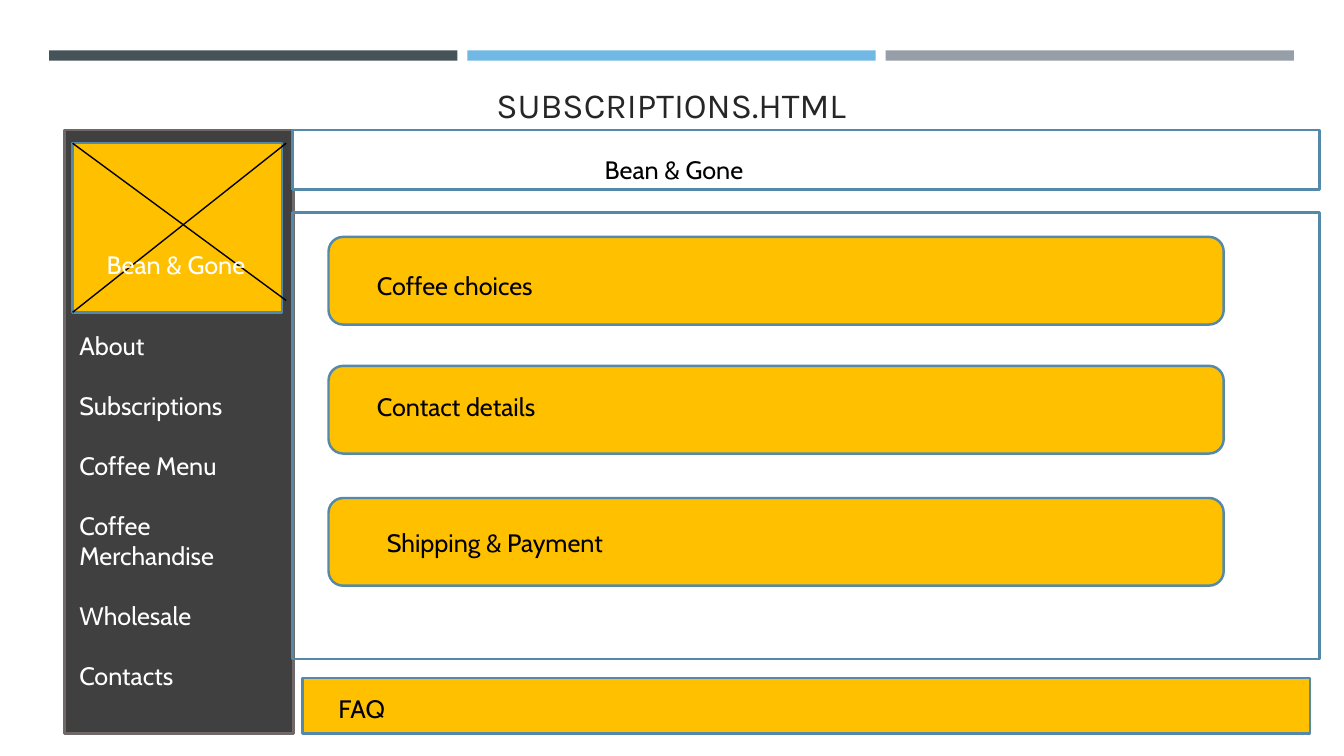
from lxml.etree import SubElement
from pptx import Presentation
from pptx.dml.color import RGBColor
from pptx.enum.shapes import MSO_CONNECTOR as Connector, MSO_SHAPE as Shape
from pptx.enum.text import MSO_ANCHOR as Anchor, MSO_AUTO_SIZE as AutoSize, PP_ALIGN as Align
from pptx.oxml.ns import qn
from pptx.util import Cm, Pt

AMBER, STEEL, CHARCOAL = "FFC000", "5489A9", "404040"
WHITE, BLACK, INK = "FFFFFF", "000000", "262626"
BAR_COLOURS = ["465359", "71B9E4", "969FA7"]
MENU = ["About", "Subscriptions", "Coffee Menu", "Coffee Merchandise", "Wholesale", "Contacts"]
# name, card top, label left, label top
SECTIONS = [
    ("Coffee choices", 5.97, 9.25, 6.68),
    ("Contact details", 9.22, 9.25, 9.73),
    ("Shipping & Payment", 12.55, 9.5, 13.16),
]


def colour(hex_string):
    return RGBColor.from_string(hex_string)


class Wireframe:
    """Draws on one slide in one style; all lengths are centimetres."""
    body_font, title_font = "Cabin", "Karla"
    body_size, title_size = 18, 25.2
    outline_width = 1.75

    def __init__(self, slide):
        self.slide = slide

    def format_runs(self, paragraph, font_name, size, hex_string):
        for run in paragraph.runs:
            run.font.name = font_name
            run.font.size = Pt(size)
            run.font.color.rgb = colour(hex_string)

    def title(self, text, left, top, width, height):
        shape = self.slide.shapes.title
        shape.left, shape.top, shape.width, shape.height = map(Cm, (left, top, width, height))
        frame = shape.text_frame
        frame.text = text
        frame.auto_size = AutoSize.NONE
        frame.vertical_anchor = Anchor.BOTTOM
        frame.paragraphs[0].alignment = Align.CENTER
        self.format_runs(frame.paragraphs[0], self.title_font, self.title_size, INK)

    def box(self, left, top, width, height, fill=None, line=None, kind=Shape.RECTANGLE):
        shape = self.slide.shapes.add_shape(kind, *map(Cm, (left, top, width, height)))
        shape.shadow.inherit = False
        if fill:
            shape.fill.solid()
            shape.fill.fore_color.rgb = colour(fill)
        else:
            shape.fill.background()
        if line:
            shape.line.color.rgb = colour(line)
            shape.line.width = Pt(self.outline_width)
        else:
            shape.line.fill.background()

    def line(self, *ends):
        connector = self.slide.shapes.add_connector(Connector.STRAIGHT, *map(Cm, ends))
        connector.line.color.rgb = colour(BLACK)
        connector.line.width = Pt(1)
        SubElement(connector._element.spPr, qn("a:effectLst"))

    def text(self, text, left, top, width, height=1.02, hex_string=BLACK, gap=0):
        shape = self.slide.shapes.add_textbox(*map(Cm, (left, top, width, height)))
        frame = shape.text_frame
        frame.word_wrap = True
        frame.text = text
        for paragraph in frame.paragraphs:
            paragraph.space_after = Pt(gap)
            self.format_runs(paragraph, self.body_font, self.body_size, hex_string)


def main():
    presentation = Presentation()
    presentation.slide_width, presentation.slide_height = Cm(33.87), Cm(19.05)
    slide = presentation.slides.add_slide(presentation.slide_layouts[5])
    page = Wireframe(slide)

    for index, bar_colour in enumerate(BAR_COLOURS):
        page.box(1.24 + index * 10.54, 1.27, 10.29, 0.26, bar_colour)
    page.title("SUBSCRIPTIONS.HTML", 1.6, 1.96, 30.63, 1.32)

    page.box(1.63, 3.28, 5.77, 15.21, CHARCOAL, "6F6868")
    page.box(7.37, 3.28, 25.88, 1.5, WHITE, STEEL)
    page.box(7.37, 5.36, 25.88, 11.25, line=STEEL)
    page.box(7.62, 17.09, 25.4, 1.4, AMBER, STEEL)

    page.box(1.83, 3.61, 5.28, 4.27, AMBER, STEEL)
    page.line(1.83, 7.87, 7.21, 3.61)
    page.line(1.83, 3.61, 7.21, 7.57)
    page.text("\n".join(MENU), 1.75, 8.2, 5.46, 9.5, WHITE, gap=21.2)
    page.text("Bean & Gone", 2.44, 6.17, 4.52, hex_string=WHITE)
    page.text("Bean & Gone", 14.99, 3.76, 10.57)

    for name, card_top, label_left, label_top in SECTIONS:
        page.box(8.28, card_top, 22.56, 2.21, AMBER, STEEL, Shape.ROUNDED_RECTANGLE)
        page.text(name, label_left, label_top, 17.27)
    page.text("FAQ", 8.28, 17.35, 11.51)

    presentation.save("out.pptx")


if __name__ == "__main__":
    main()
